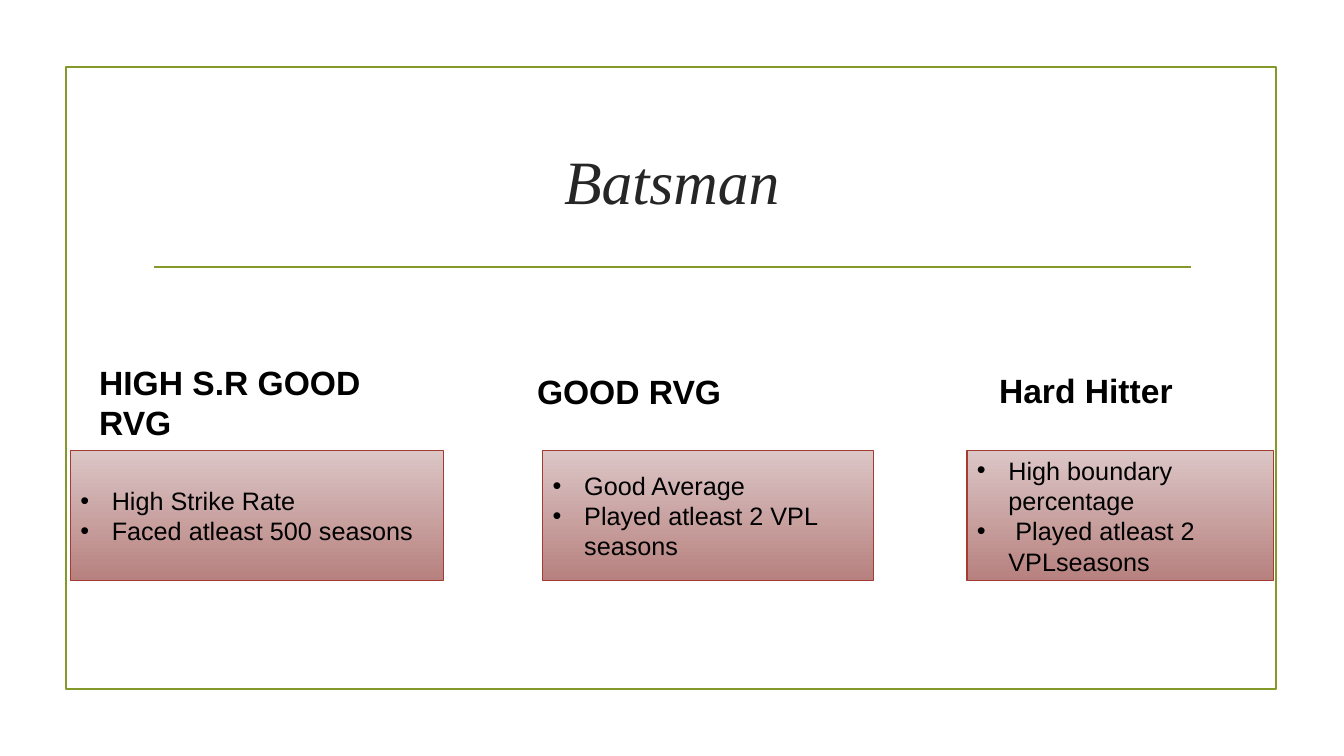
from pptx import Presentation
from pptx.dml.color import RGBColor
from pptx.enum.shapes import MSO_CONNECTOR as Connector, MSO_SHAPE as Shape
from pptx.enum.text import MSO_ANCHOR as Anchor, PP_ALIGN as Align
from pptx.oxml.ns import qn
from pptx.util import Pt
from lxml.etree import SubElement

EMU_PER_PX = 9525
OLIVE = RGBColor(0x83, 0x99, 0x2A)
CHARCOAL = RGBColor(0x26, 0x26, 0x26)
BLACK = RGBColor(0x00, 0x00, 0x00)
ROSE_LIGHT = RGBColor(0xDC, 0xC6, 0xC6)
ROSE_DARK = RGBColor(0xB7, 0x81, 0x7F)
BRICK = RGBColor(0xA2, 0x3C, 0x33)

CARD_TOP = 429
CARD_HEIGHT = 124
CATEGORIES = [
    ("HIGH S.R GOOD RVG", (85, 340, 315, 116), 67, 355,
     ["High Strike Rate", "Faced atleast 500 seasons"]),
    ("GOOD RVG", (502, 349, 217, 78), 517, 315,
     ["Good Average", "Played atleast 2 VPL seasons"]),
    ("Hard Hitter", (942, 348, 217, 78), 921, 292,
     ["High boundary percentage", " Played atleast 2 VPLseasons"]),
]


def px(*lengths):
    return [length * EMU_PER_PX for length in lengths]


class SlideBuilder:
    heading_font = "Times New Roman"
    body_font = "Arial"
    bullet_indent = 30

    def __init__(self, page):
        self.page = page

    def add_text(self, para, text, size, color=BLACK, font=body_font, bold=False, italic=False):
        span = para.add_run()
        span.text = text
        span.font.name = font
        span.font.size = Pt(size)
        span.font.color.rgb = color
        span.font.bold = bold
        span.font.italic = italic

    def text_box(self, bounds):
        box = self.page.shapes.add_textbox(*px(*bounds))
        box.text_frame.word_wrap = True
        return box.text_frame

    def title(self, text, bounds):
        frame = self.text_box(bounds)
        frame.vertical_anchor = Anchor.MIDDLE
        para = frame.paragraphs[0]
        para.alignment = Align.CENTER
        self.add_text(para, text, 44, CHARCOAL, self.heading_font, italic=True)

    def heading(self, text, bounds):
        self.add_text(self.text_box(bounds).paragraphs[0], text, 24, bold=True)

    def rectangle(self, bounds, color, weight):
        box = self.page.shapes.add_shape(Shape.RECTANGLE, *px(*bounds))
        box.shadow.inherit = False
        box.line.color.rgb = color
        box.line.width = Pt(weight)
        return box

    def border(self, bounds):
        self.rectangle(bounds, OLIVE, 1.25).fill.background()

    def rule(self, left, right, top):
        line = self.page.shapes.add_connector(Connector.STRAIGHT, *px(left, top, right, top))
        line.line.color.rgb = OLIVE
        line.line.width = Pt(1.25)
        SubElement(line._element.spPr, qn("a:effectLst"))

    def card(self, items, bounds):
        box = self.rectangle(bounds, BRICK, 0.75)
        box.fill.gradient()
        box.fill.gradient_angle = 270
        for stop, color in zip(box.fill.gradient_stops, (ROSE_LIGHT, ROSE_DARK)):
            stop.color.rgb = color
        frame = box.text_frame
        frame.word_wrap = True
        frame.vertical_anchor = Anchor.MIDDLE
        for index, item in enumerate(items):
            para = frame.add_paragraph() if index else frame.paragraphs[0]
            para.alignment = Align.LEFT
            self.bullet(para)
            self.add_text(para, item, 18)

    def bullet(self, para):
        indent = self.bullet_indent * EMU_PER_PX
        properties = para._p.get_or_add_pPr()
        properties.set("marL", str(indent))
        properties.set("indent", str(-indent))
        SubElement(properties, qn("a:buFont")).set("typeface", self.body_font)
        SubElement(properties, qn("a:buChar")).set("char", "•")


def main():
    deck = Presentation()
    deck.slide_width, deck.slide_height = px(1280, 720)
    slide = SlideBuilder(deck.slides.add_slide(deck.slide_layouts[6]))
    slide.border((63, 64, 1152, 592))
    slide.rule(147, 1134, 254)
    slide.title("Batsman", (136, 103, 1008, 137))
    for name, heading_bounds, left, width, items in CATEGORIES:
        slide.heading(name, heading_bounds)
        slide.card(items, (left, CARD_TOP, width, CARD_HEIGHT))
    deck.save("out.pptx")


if __name__ == "__main__":
    main()
